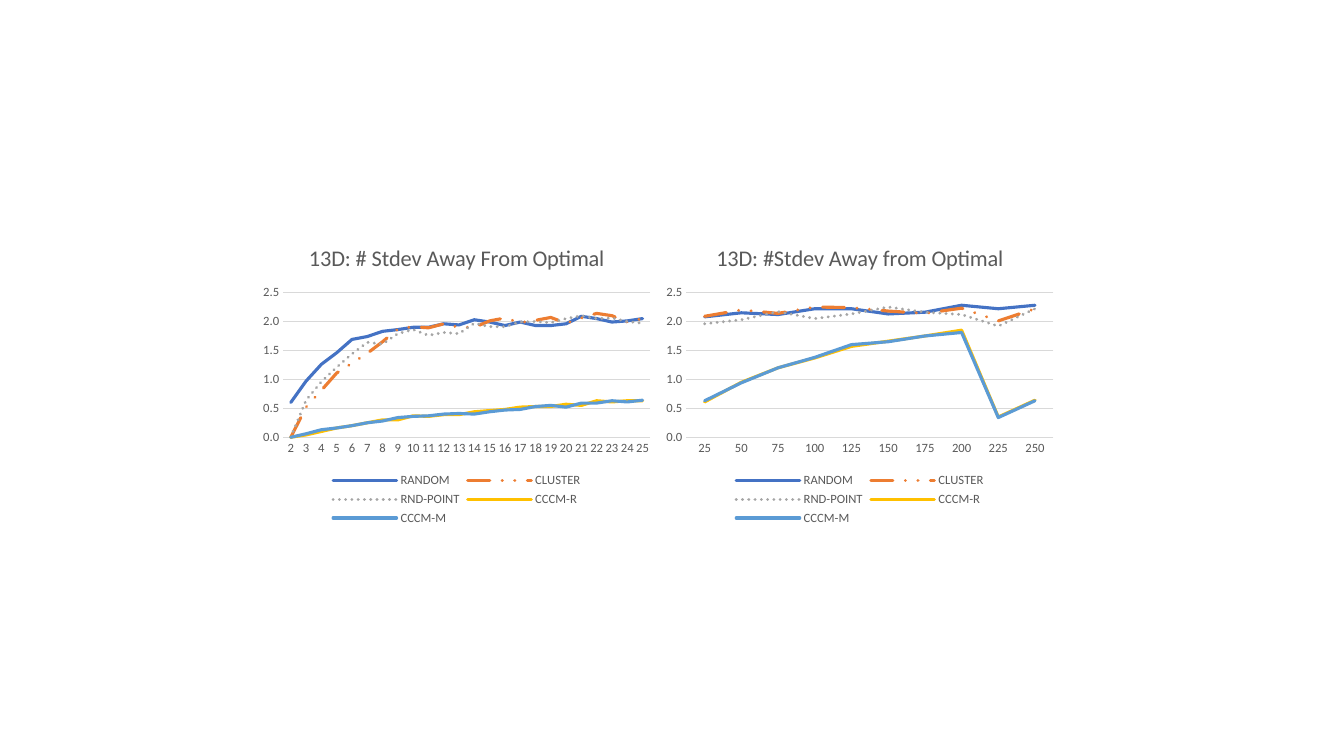
from pptx import Presentation
from pptx.chart.data import CategoryChartData
from pptx.dml.color import RGBColor
from pptx.enum.chart import XL_CHART_TYPE as Kind, XL_LEGEND_POSITION as Pos
from pptx.enum.chart import XL_TICK_MARK as Tick
from pptx.enum.dml import MSO_LINE as Dash
from pptx.util import Cm, Pt

FONT = "Calibri"
GREY = RGBColor(0x59, 0x59, 0x59)
PALE = RGBColor(0xD9, 0xD9, 0xD9)
BLUE = RGBColor(0x44, 0x72, 0xC4)
ORANGE = RGBColor(0xED, 0x7D, 0x31)
SILVER = RGBColor(0xA5, 0xA5, 0xA5)
GOLD = RGBColor(0xFF, 0xC0, 0x00)
SKY = RGBColor(0x5B, 0x9B, 0xD5)

# Series name, colour and dash, shared by both charts
STYLES = [
    ("RANDOM", BLUE, None),
    ("CLUSTER", ORANGE, Dash.DASH_DOT_DOT),
    ("RND-POINT", SILVER, Dash.ROUND_DOT),
    ("CCCM-R", GOLD, None),
    ("CCCM-M", SKY, None),
]

# Values by series, in the order of STYLES
SMALL = [
    [0.6, 0.97, 1.26, 1.46, 1.69, 1.74, 1.83, 1.86, 1.9, 1.9, 1.96, 1.94,
     2.03, 1.99, 1.93, 1.99, 1.93, 1.93, 1.96, 2.09, 2.05, 1.99, 2.01, 2.05],
    [0, 0.52, 0.81, 1.11, 1.28, 1.45, 1.65, 1.87, 1.91, 1.89, 1.96, 1.9,
     1.9, 2.01, 2.06, 1.98, 2.02, 2.07, 1.97, 2.06, 2.14, 2.1, 1.99, 2.05],
    [0, 0.64, 0.96, 1.21, 1.44, 1.64, 1.61, 1.79, 1.86, 1.76, 1.81, 1.79,
     1.97, 1.91, 1.91, 1.99, 2, 1.98, 2.05, 2.1, 2.05, 2.06, 2, 1.97],
    [0, 0.04, 0.1, 0.16, 0.2, 0.25, 0.3, 0.3, 0.37, 0.36, 0.39, 0.39,
     0.44, 0.46, 0.48, 0.52, 0.53, 0.53, 0.57, 0.55, 0.63, 0.61, 0.63, 0.63],
    [0, 0.06, 0.13, 0.16, 0.2, 0.25, 0.28, 0.34, 0.36, 0.37, 0.4, 0.41,
     0.4, 0.44, 0.47, 0.48, 0.53, 0.55, 0.52, 0.59, 0.59, 0.63, 0.61, 0.64],
]
LARGE = [
    [2.08, 2.15, 2.12, 2.22, 2.22, 2.13, 2.16, 2.28, 2.22, 2.28],
    [2.09, 2.2, 2.14, 2.25, 2.24, 2.18, 2.14, 2.23, 2.01, 2.22],
    [1.96, 2.03, 2.17, 2.05, 2.13, 2.25, 2.16, 2.12, 1.92, 2.22],
    [0.61, 0.95, 1.2, 1.37, 1.57, 1.66, 1.75, 1.85, 0.35, 0.64],
    [0.63, 0.94, 1.2, 1.38, 1.6, 1.65, 1.75, 1.81, 0.34, 0.63],
]


def set_font(font, size):
    font.name = FONT
    font.size = Pt(size)
    font.bold = False
    font.color.rgb = GREY


def set_line(line, color, width):
    line.color.rgb = color
    line.width = Pt(width)


def set_axes(chart):
    cat, val = chart.category_axis, chart.value_axis
    for axis in (cat, val):
        axis.major_tick_mark = axis.minor_tick_mark = Tick.NONE
        set_font(axis.tick_labels.font, 9)
    set_line(cat.format.line, PALE, 0.75)
    val.format.line.fill.background()
    val.minimum_scale, val.maximum_scale, val.major_unit = 0, 2.5, 0.5
    val.tick_labels.number_format = "#,##0.0"
    val.tick_labels.number_format_is_linked = False
    set_line(val.major_gridlines.format.line, PALE, 0.75)


def add_lines(slide, left, title, cats, rows):
    data = CategoryChartData()
    data.categories = [str(cat) for cat in cats]
    for (name, _, _), row in zip(STYLES, rows):
        data.add_series(name, row)
    frame = slide.shapes.add_chart(
        Kind.LINE, left, Cm(5.72), Cm(10.16), Cm(7.62), data)
    chart = frame.chart
    set_font(chart.font, 10)

    # Title and legend
    chart.has_title = True
    head = chart.chart_title.text_frame
    head.text = title
    set_font(head.paragraphs[0].font, 16)
    chart.has_legend = True
    chart.legend.position = Pos.BOTTOM
    chart.legend.include_in_layout = False
    set_font(chart.legend.font, 9)

    set_axes(chart)

    # Series lines with round caps
    for plot, (_, color, dash) in zip(chart.series, STYLES):
        plot.smooth = False
        set_line(plot.format.line, color, 2.25)
        if dash:
            plot.format.line.dash_style = dash
    for line in chart.element.xpath("//c:ser/c:spPr/a:ln"):
        line.set("cap", "rnd")


def main():
    deck = Presentation()
    deck.slide_width, deck.slide_height = Cm(33.87), Cm(19.05)
    slide = deck.slides.add_slide(deck.slide_layouts[6])
    add_lines(slide, Cm(6.43), "13D: # Stdev Away From Optimal",
              range(2, 26), SMALL)
    add_lines(slide, Cm(16.59), "13D: #Stdev Away from Optimal",
              range(25, 251, 25), LARGE)
    deck.save("out.pptx")


if __name__ == "__main__":
    main()
